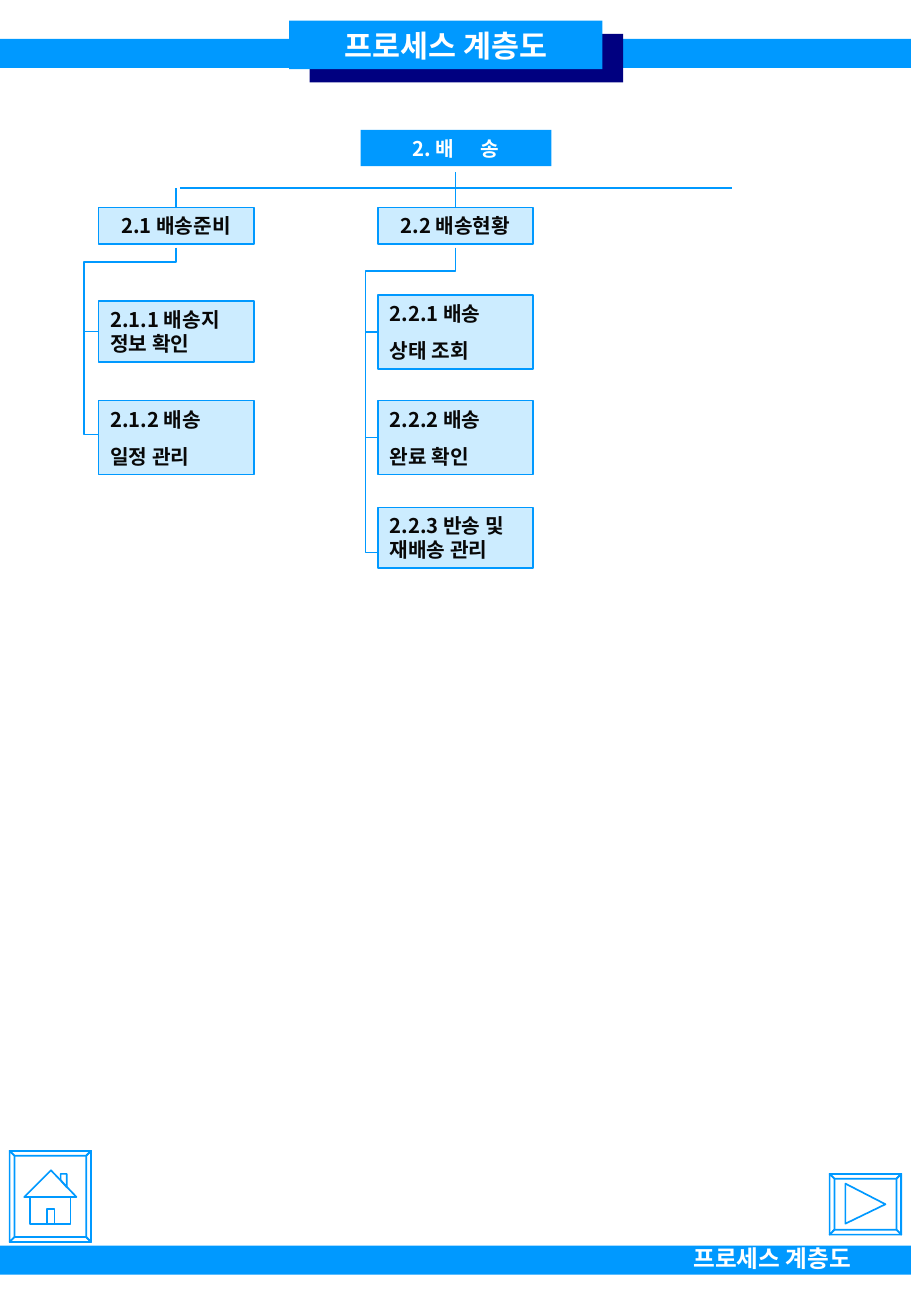
from dataclasses import dataclass

from lxml.etree import SubElement
from pptx import Presentation
from pptx.dml.color import RGBColor
from pptx.enum.shapes import MSO_CONNECTOR, MSO_SHAPE
from pptx.enum.text import MSO_ANCHOR, MSO_AUTO_SIZE, PP_ALIGN
from pptx.oxml.ns import qn
from pptx.util import Emu, Pt

PX = 9144  # 100 px to the inch
PAGE_WIDTH, PAGE_HEIGHT = 750, 1084
BOX_WIDTH = 128
HEAD_TOP, BUS_Y = 171, 155
TOP, LEFT = 0, 1


@dataclass(frozen=True)
class Theme:
    blue: RGBColor = RGBColor(0x00, 0x99, 0xFF)
    pale: RGBColor = RGBColor(0xCC, 0xEC, 0xFF)
    navy: RGBColor = RGBColor(0x00, 0x00, 0x80)
    ink: RGBColor = RGBColor(0x08, 0x08, 0x08)
    white: RGBColor = RGBColor(0xFF, 0xFF, 0xFF)
    font: str = "Noto Sans CJK KR"
    title_size: int = 18
    footer_size: int = 14
    box_size: int = 12
    box_gap: float = 7.5
    line_width: int = 1


THEME = Theme()

# (left, heading, children); a child is (top, height, paragraphs)
BRANCHES = [
    (81, "2.1 배송준비", [
        (248, 50, ["2.1.1 배송지 정보 확인"]),
        (330, 61, ["2.1.2 배송", "일정 관리"]),
    ]),
    (311, "2.2 배송현황", [
        (243, 61, ["2.2.1 배송", "상태 조회"]),
        (330, 61, ["2.2.2 배송", "완료 확인"]),
        (418, 50, ["2.2.3 반송 및 재배송 관리"]),
    ]),
]
# Elbow of each branch: spine x, shoulder y, foot y
ELBOWS = [(69, 216, 358), (301, 223, 455)]


def px(value):
    return Emu(round(value * PX))


def write(shape, paragraphs, size, color, align=PP_ALIGN.LEFT, anchor=MSO_ANCHOR.MIDDLE):
    frame = shape.text_frame
    frame_format = {
        "word_wrap": True, "auto_size": MSO_AUTO_SIZE.NONE, "vertical_anchor": anchor,
        "margin_left": px(10), "margin_right": px(10),
        "margin_top": px(5), "margin_bottom": px(5),
    }
    for name, value in frame_format.items():
        setattr(frame, name, value)
    for index, text in enumerate(paragraphs):
        paragraph = frame.paragraphs[0] if index == 0 else frame.add_paragraph()
        paragraph.alignment = align
        paragraph.space_before = Pt(THEME.box_gap if index else 0)
        # A text may be split into several runs
        for part in [text] if isinstance(text, str) else text:
            run = paragraph.add_run()
            run.text = part
            for name, value in {"name": THEME.font, "size": Pt(size), "bold": True}.items():
                setattr(run.font, name, value)
            run.font.color.rgb = color
            properties = run._r.get_or_add_rPr()
            properties.set("kern", "0")
            SubElement(properties, qn("a:ea"), typeface=THEME.font)


def add_box(slide, left, top, width, height, fill, outlined=False):
    shape = slide.shapes.add_shape(
        MSO_SHAPE.RECTANGLE, px(left), px(top), px(width), px(height))
    shape.shadow.inherit = False
    shape.fill.solid()
    shape.fill.fore_color.rgb = fill
    if outlined:
        style_line(shape.line)
    else:
        shape.line.fill.background()
    return shape


def style_line(line):
    line.color.rgb = THEME.blue
    line.width = Pt(THEME.line_width)


def add_line(slide, start, end, box=None, side=TOP):
    connector = slide.shapes.add_connector(
        MSO_CONNECTOR.STRAIGHT, *(px(value) for value in (*start, *end)))
    style_line(connector.line)
    SubElement(connector._element.spPr, qn("a:effectLst"))
    if box is not None:
        connector.end_connect(box, side)


def add_outline(slide, contours, close=True):
    first, *others = contours
    builder = slide.shapes.build_freeform(*first[0], scale=PX)
    builder.add_line_segments(first[1:], close=close)
    for contour in others:
        builder.move_to(*contour[0])
        builder.add_line_segments(contour[1:], close=close)
    shape = builder.convert_to_shape()
    shape.shadow.inherit = False
    shape.fill.background()
    style_line(shape.line)


def add_button(slide, left, top, right, bottom, bevel, symbol):
    outer = [(left, top), (right, top), (right, bottom), (left, bottom)]
    inner = [(left + bevel, top + bevel), (right - bevel, top + bevel),
             (right - bevel, bottom - bevel), (left + bevel, bottom - bevel)]
    faces = [[outer[i], outer[(i + 1) % 4], inner[(i + 1) % 4], inner[i]] for i in range(4)]
    add_outline(slide, [outer, *faces, *symbol])


def add_banner(slide):
    add_box(slide, 0, 32, PAGE_WIDTH, 24, THEME.blue)
    add_box(slide, 255, 28, 258, 40, THEME.navy)
    title = slide.shapes.title
    place = {"left": 238, "top": 17, "width": 258, "height": 40}
    for name, value in place.items():
        setattr(title, name, px(value))
    title.fill.solid()
    title.fill.fore_color.rgb = THEME.blue
    write(title, ["프로세스 계층도"], THEME.title_size, THEME.white, PP_ALIGN.CENTER)
    # Bring the title in front of the bar and its navy backing
    title._element.getparent().append(title._element)


def add_root(slide):
    root = add_box(slide, 297, 107, 157, 30, THEME.blue)
    write(root, [("2. 배", " ", "송")], THEME.box_size, THEME.white, PP_ALIGN.CENTER)
    # Widen the gap between the two syllables
    gap = root.text_frame.paragraphs[0].runs[1]
    gap._r.get_or_add_rPr().set("spc", "1300")
    add_line(slide, (375, 142), (375, BUS_Y))
    add_line(slide, (148, BUS_Y), (603, BUS_Y))


def add_branch(slide, left, heading, children, elbow):
    center = left + BOX_WIDTH // 2
    spine, shoulder, foot = elbow
    head = add_box(slide, left, HEAD_TOP, BOX_WIDTH, 30, THEME.pale, outlined=True)
    write(head, [heading], THEME.box_size, THEME.ink, PP_ALIGN.CENTER)
    add_line(slide, (center, BUS_Y), (center, HEAD_TOP), head, TOP)
    add_outline(slide, [[(center, 204), (center, shoulder), (spine, shoulder),
                         (spine, foot), (left, foot)]], close=False)
    for index, (top, height, paragraphs) in enumerate(children):
        box = add_box(slide, left, top, BOX_WIDTH, height, THEME.pale, outlined=True)
        write(box, paragraphs, THEME.box_size, THEME.ink)
        # The elbow itself reaches the last child
        if index < len(children) - 1:
            middle = top + height / 2
            add_line(slide, (spine, middle), (left, middle), box, LEFT)


def add_footer(slide):
    add_box(slide, 0, 1026, PAGE_WIDTH, 24, THEME.blue)
    label = slide.shapes.add_textbox(px(561), px(1020), px(173), px(34))
    write(label, ["프로세스 계층도"], THEME.footer_size, THEME.white, anchor=MSO_ANCHOR.TOP)
    house = [
        [(42, 964), (63, 986), (20, 986)],
        [(50, 972), (50, 967), (55, 967), (55, 978)],
        [(25, 986), (58, 986), (58, 1008), (25, 1008)],
        [(39, 996), (45, 996), (45, 1008), (39, 1008)],
    ]
    add_button(slide, 8, 948, 75, 1023, 4, house)
    add_button(slide, 683, 967, 742, 1017, 4, [[(696, 975), (729, 992), (696, 1008)]])


def main():
    presentation = Presentation()
    presentation.slide_width = px(PAGE_WIDTH)
    presentation.slide_height = px(PAGE_HEIGHT)
    slide = presentation.slides.add_slide(presentation.slide_layouts[5])
    add_banner(slide)
    add_root(slide)
    for branch, elbow in zip(BRANCHES, ELBOWS):
        add_branch(slide, *branch, elbow)
    add_footer(slide)
    presentation.save("out.pptx")


if __name__ == "__main__":
    main()
